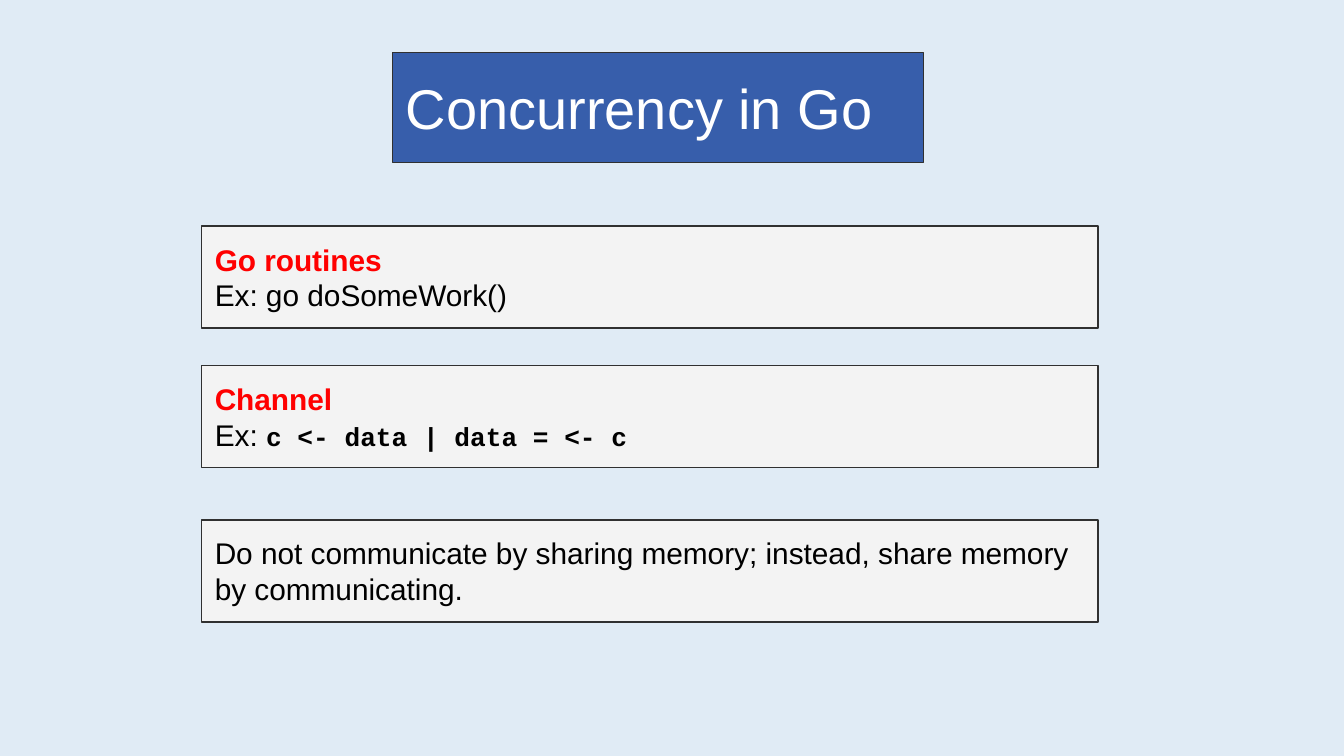
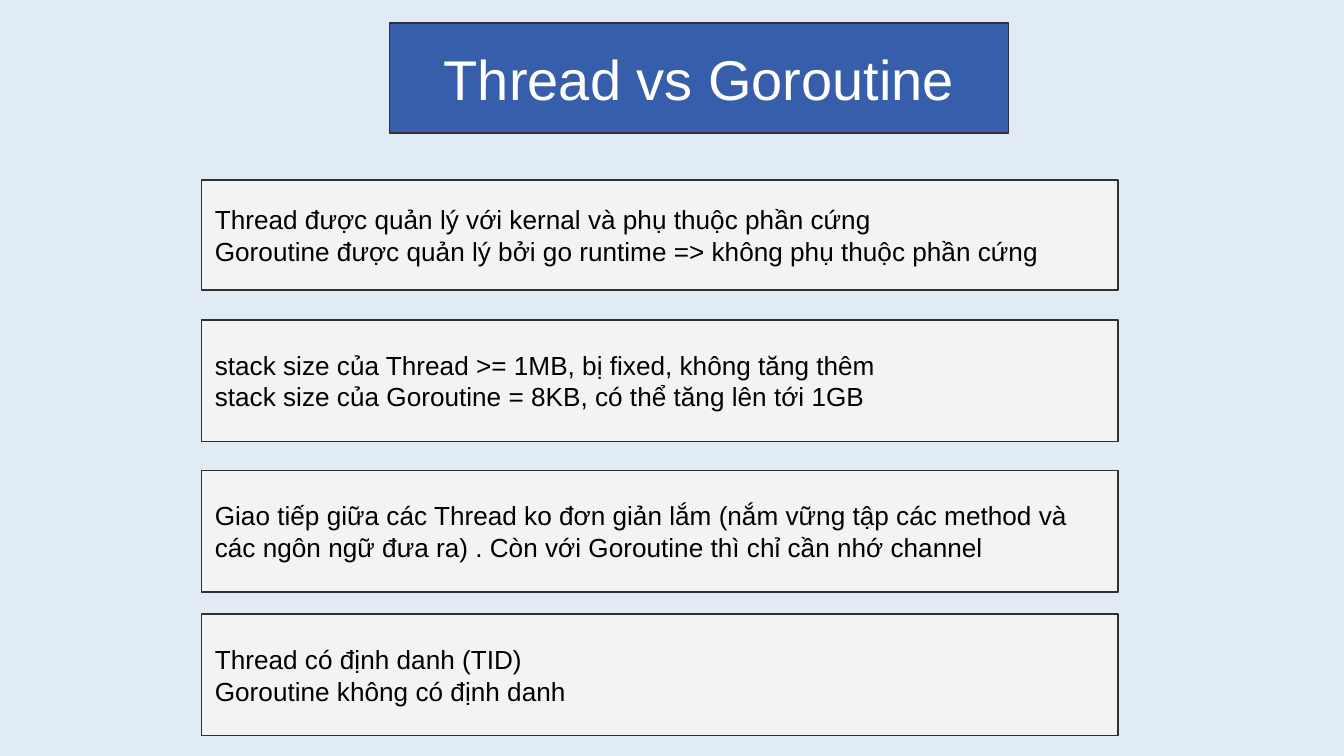
from dataclasses import dataclass

import pptx
import pptx.dml.color
import pptx.enum.shapes
import pptx.enum.text
import pptx.presentation
import pptx.slide
import pptx.util

Pt = pptx.util.Pt
ALIGN = pptx.enum.text.PP_ALIGN

COLORS = {
    "background": "E0EBF5",
    "title": "375EAB",
    "card": "F3F3F3",
    "outline": "303030",
    "white": "FFFFFF",
    "black": "000000",
    "red": "FF0000",
}
CARD_LEFT = 108
TITLE_HEIGHT = 59


@dataclass(frozen=True)
class Span:
    text: str
    size: float
    color: str = "black"
    bold: bool = False
    font: str = "Arial"


Lines = list[list[Span]]


@dataclass(frozen=True)
class Box:
    left: float
    top: float
    width: float
    height: float
    lines: Lines
    fill: str = "card"
    align: ALIGN = ALIGN.LEFT


def rgb(name: str) -> pptx.dml.color.RGBColor:
    return pptx.dml.color.RGBColor.from_string(COLORS[name])


def plain(size: float, *texts: str) -> Lines:
    return [[Span(text, size)] for text in texts]


def title(text: str, left: float, top: float, width: float,
          align: ALIGN = ALIGN.LEFT) -> Box:
    return Box(left, top, width, TITLE_HEIGHT, [[Span(text, 30, "white")]], "title", align)


def routine_card(top: float, lines: Lines) -> Box:
    return Box(CARD_LEFT, top, 480.25, 54.75, lines)


def comparison_card(top: float, height: float, *texts: str) -> Box:
    return Box(CARD_LEFT, top, 491, height, plain(14, *texts))


def topic(text: str) -> list[Span]:
    return [Span(text, 16, "red", True)]


def draw_box(page: pptx.slide.Slide, box: Box) -> None:
    shape = page.shapes.add_shape(
        pptx.enum.shapes.MSO_SHAPE.RECTANGLE,
        Pt(box.left), Pt(box.top), Pt(box.width), Pt(box.height))
    shape.shadow.inherit = False
    shape.fill.solid()
    shape.fill.fore_color.rgb = rgb(box.fill)
    shape.line.color.rgb = rgb("outline")
    shape.line.width = Pt(0.75)

    frame = shape.text_frame
    frame.word_wrap = True
    frame.vertical_anchor = pptx.enum.text.MSO_ANCHOR.MIDDLE
    frame.margin_left = frame.margin_right = Pt(7.2)
    frame.margin_top = frame.margin_bottom = Pt(7.2)
    frame.text = "\n".join(line[0].text for line in box.lines)
    for paragraph, line in zip(frame.paragraphs, box.lines):
        paragraph.alignment = box.align
        for span in line[1:]:
            paragraph.add_run().text = span.text
        for run, span in zip(paragraph.runs, line):
            run.font.name = span.font
            run.font.size = Pt(span.size)
            run.font.bold = span.bold
            run.font.color.rgb = rgb(span.color)


def draw_page(deck: pptx.presentation.Presentation, boxes: list[Box]) -> None:
    page = deck.slides.add_slide(deck.slide_layouts[6])
    page.background.fill.solid()
    page.background.fill.fore_color.rgb = rgb("background")
    for box in boxes:
        draw_box(page, box)


CONCURRENCY = [
    title("Concurrency in Go", 210.25, 28, 284.5),
    routine_card(121, [topic("Go routines"), *plain(16, "Ex: go doSomeWork()")]),
    routine_card(195.75, [
        topic("Channel"),
        [Span("Ex: ", 16), Span("c <- data | data = <- c", 14, bold=True, font="Courier New")],
    ]),
    routine_card(278.5, plain(
        16, "Do not communicate by sharing memory; instead, share memory by communicating.")),
]

COMPARISON = [
    title("Thread vs Goroutine", 208.75, 12.25, 331.5, ALIGN.CENTER),
    comparison_card(
        96.5, 59,
        "Thread được quản lý với kernal và phụ thuộc phần cứng",
        "Goroutine được quản lý bởi go runtime => không phụ thuộc phần cứng"),
    comparison_card(
        171.5, 65,
        "stack size của Thread >= 1MB, bị fixed, không tăng thêm",
        "stack size của Goroutine = 8KB, có thể tăng lên tới 1GB"),
    comparison_card(
        252, 65.25,
        "Giao tiếp giữa các Thread ko đơn giản lắm (nắm vững tập các method và "
        "các ngôn ngữ đưa ra) . Còn với Goroutine thì chỉ cần nhớ channel"),
    comparison_card(
        329, 65.25,
        "Thread có định danh (TID)",
        "Goroutine không có định danh"),
]


def main() -> None:
    deck = pptx.Presentation()
    deck.slide_width = Pt(720)
    deck.slide_height = Pt(405)
    for boxes in (CONCURRENCY, COMPARISON):
        draw_page(deck, boxes)
    deck.save("out.pptx")


if __name__ == "__main__":
    main()
